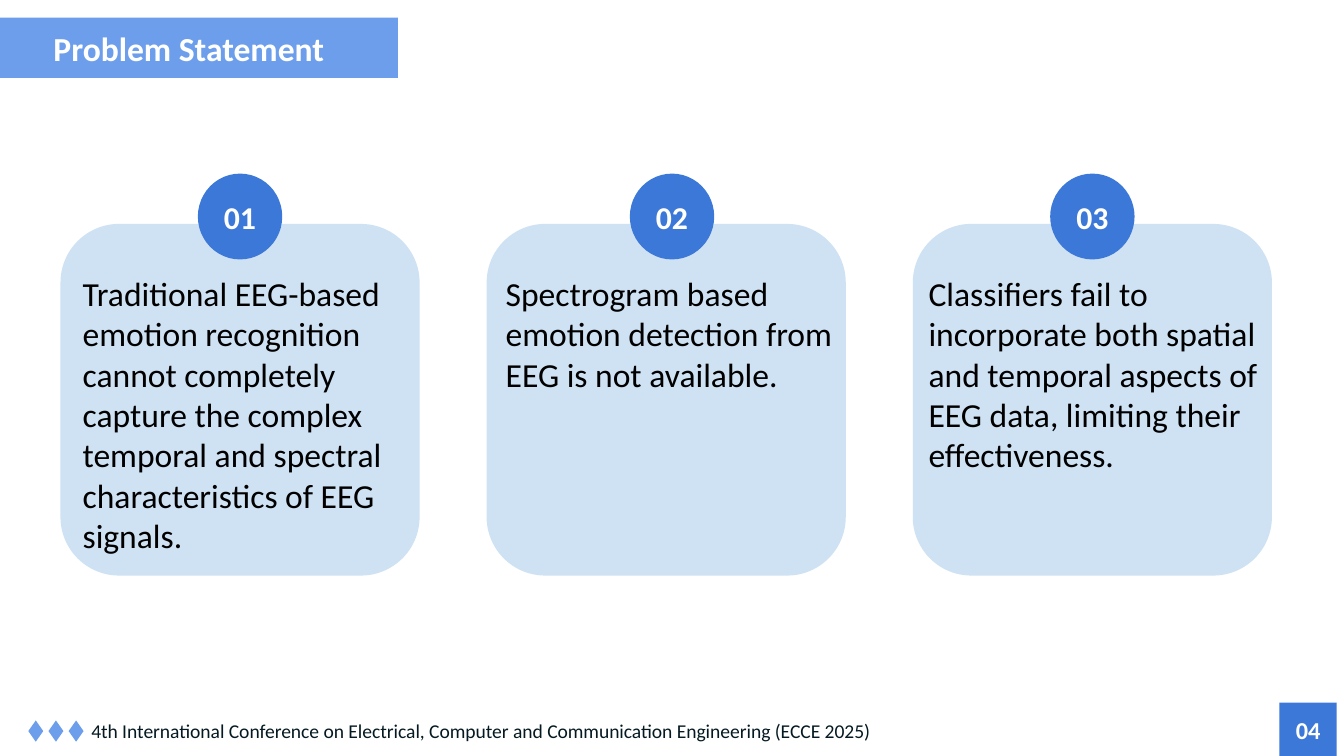
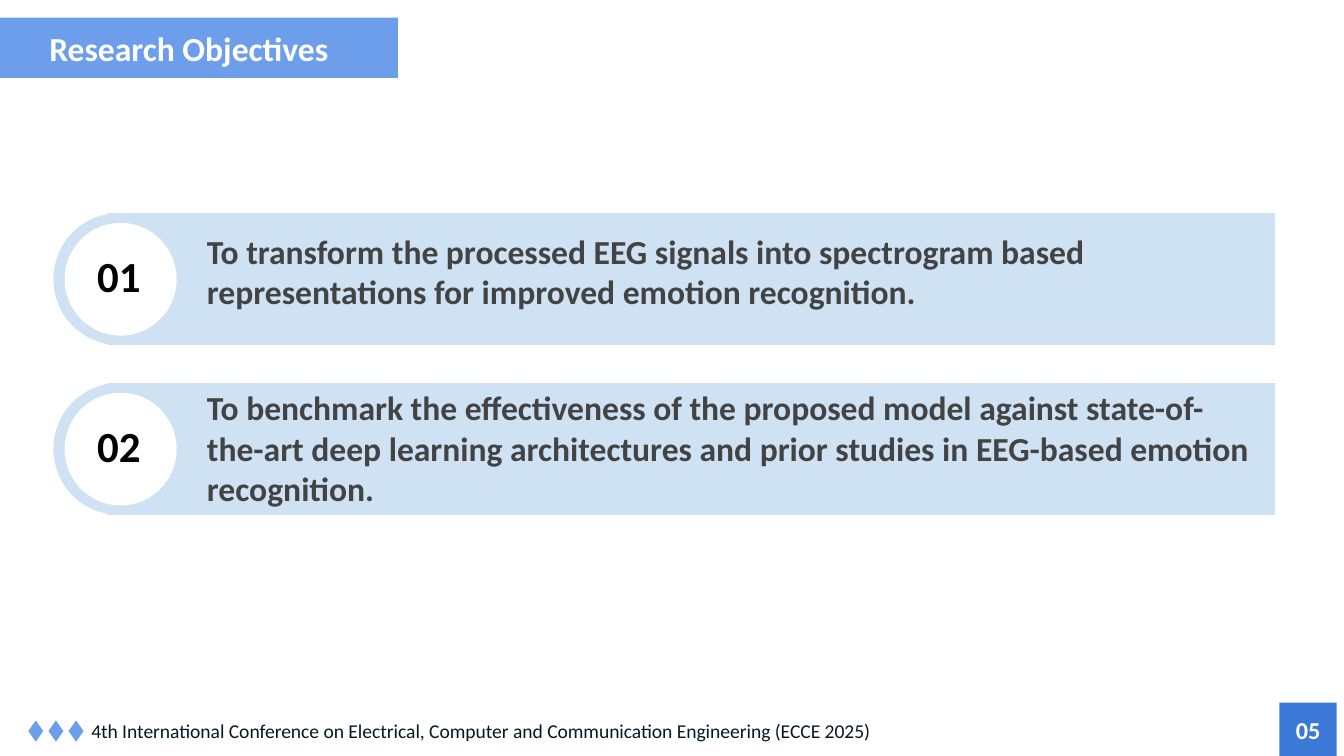
from pptx import Presentation
from pptx.dml.color import RGBColor
from pptx.enum.shapes import MSO_SHAPE as Kind
from pptx.enum.text import MSO_ANCHOR as Anchor, MSO_AUTO_SIZE as Fit, PP_ALIGN as Align
from pptx.util import Pt

BLUE, SKY, PALE = "3C78D8", "6D9EEB", "CFE2F3"
WHITE, BLACK, GREY, INK = "FFFFFF", "000000", "434343", "051922"
VENUE = ("4th International Conference on Electrical, Computer and "
         "Communication Engineering (ECCE 2025)")
hue = RGBColor.from_string


def draw(group, kind, box, fill):
    """Add a borderless filled shape; box is left, top, width, height in points."""
    shape = group.add_shape(kind, *map(Pt, box))
    shape.shadow.inherit = False
    shape.fill.solid()
    shape.fill.fore_color.rgb = hue(fill)
    shape.line.fill.background()
    return shape


def write(shape, text, size, color, bold=False, mid=False):
    """Set text; mid centres it both ways, otherwise it starts at the top left."""
    frame = shape.text_frame
    frame.text = text
    frame.word_wrap = True
    frame.auto_size = Fit.NONE
    frame.margin_left = frame.margin_right = Pt(7.2)
    frame.margin_top = frame.margin_bottom = Pt(7.2)
    frame.vertical_anchor = Anchor.MIDDLE if mid else Anchor.TOP
    para = frame.paragraphs[0]
    para.alignment = Align.CENTER if mid else Align.LEFT
    font = para.runs[0].font
    font.name, font.size, font.bold = "Calibri", Pt(size), bold
    font.color.rgb = hue(color)


deck = Presentation()
deck.slide_width, deck.slide_height = Pt(720), Pt(405)

# Title band, page number and footer of every slide
slides = []
for page, name in [("04", "Problem Statement"), ("05", "Research Objectives")]:
    slide = deck.slides.add_slide(deck.slide_layouts[5])
    slides.append(slide)
    title = slide.shapes.title
    title.left, title.top, title.width, title.height = map(Pt, (-10.8, 9.4, 224, 32.4))
    title.fill.solid()
    title.fill.fore_color.rgb = hue(SKY)
    write(title, name, 18, WHITE, bold=True, mid=True)

    badge = draw(slide.shapes, Kind.RECTANGLE, (685.4, 376.4, 30.7, 28.8), BLUE)
    write(badge, page, 13, WHITE, bold=True, mid=True)

    foot = slide.shapes.add_group_shape().shapes
    for i in range(3):
        draw(foot, Kind.DIAMOND, (15.2 + 10.8 * i, 386, 8, 11.4), SKY)
    note = foot.add_textbox(Pt(41.8), Pt(378), Pt(619), Pt(27.4))
    write(note, VENUE, 10.5, INK)

# Problem Statement: three numbered cards
shapes = slides[0].shapes
cards = [
    ("Traditional EEG-based emotion recognition cannot completely capture the "
     "complex temporal and spectral characteristics of EEG signals.", 106, 202.3, 167),
    ("Spectrogram based emotion detection from EEG is not available.",
     337.4, 202.3, 80),
    ("Classifiers fail to incorporate both spatial and temporal aspects of EEG "
     "data, limiting their effectiveness.", 562.6, 192.2, 124),
]
for i, (text, left, width, height) in enumerate(cards):
    draw(shapes, Kind.ROUNDED_RECTANGLE, (32.4 + 228.3 * i, 120, 192.4, 188.4), PALE)
    body = shapes.add_textbox(Pt(37.2 + 226.6 * i), Pt(139), Pt(width), Pt(height))
    write(body, text, 18, BLACK)
    disc = draw(shapes, Kind.OVAL, (left, 93, 45.2, 46), BLUE)
    write(disc, f"{i + 1:02}", 17, WHITE, bold=True, mid=True)

# Research Objectives: two numbered bars
shapes = slides[1].shapes
goals = [
    ("To transform the processed EEG signals into spectrogram based "
     "representations for improved emotion recognition.", 116.6, 587.5, 58.3),
    ("To benchmark the effectiveness of the proposed model against "
     "state-of-the-art deep learning architectures and prior studies in "
     "EEG-based emotion recognition.", 200.2, 576, 80),
]
for i, (text, top, width, height) in enumerate(goals):
    y = 114.2 + 91 * i
    bar = shapes.add_group_shape().shapes
    draw(bar, Kind.RECTANGLE, (57.6, y, 625.6, 70.6), PALE)
    draw(bar, Kind.OVAL, (28.6, y, 70, 70.6), PALE)
    draw(shapes, Kind.OVAL, (34.6, y + 5.2, 60, 60.4), WHITE)
    label = shapes.add_textbox(Pt(45), Pt(y + 12.6), Pt(39), Pt(39))
    write(label, f"{i + 1:02}", 23, BLACK, bold=True)
    body = shapes.add_textbox(Pt(103.8), Pt(top), Pt(width), Pt(height))
    write(body, text, 18, GREY, bold=True)

deck.save("out.pptx")
